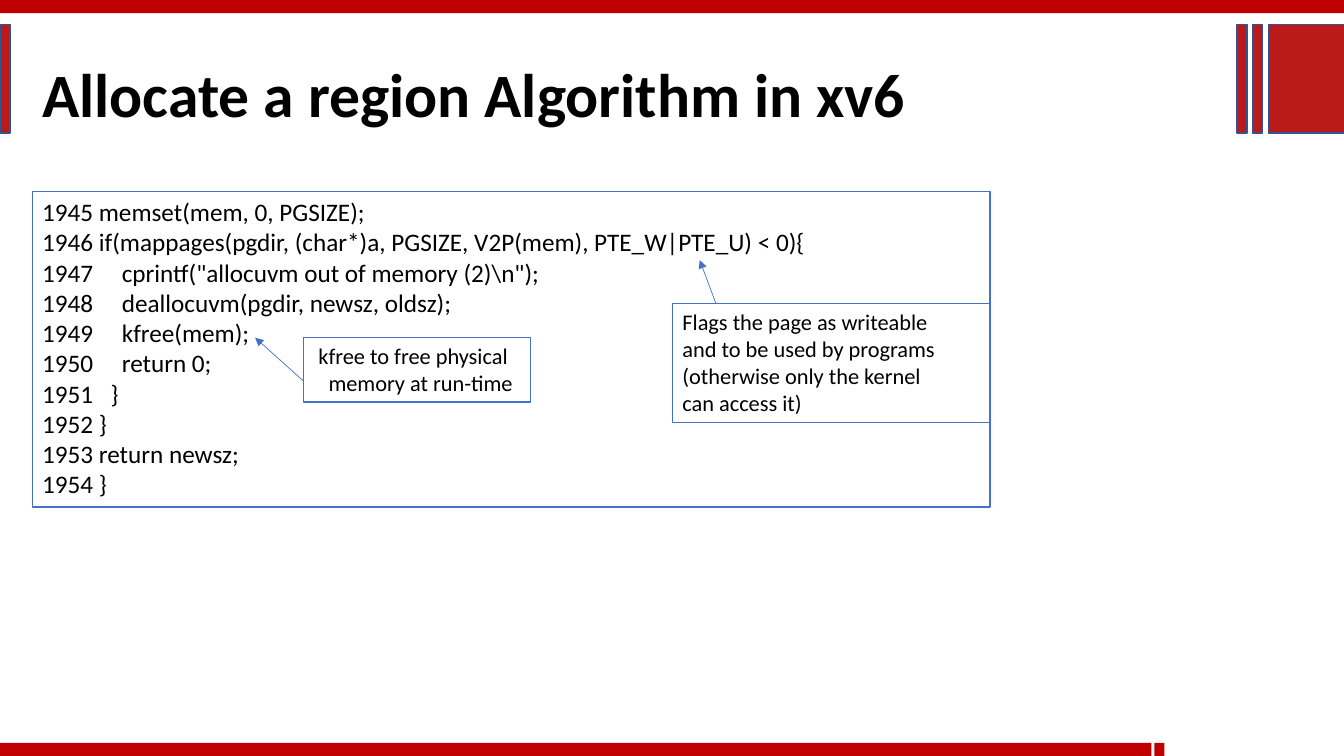
"""Build the slide that explains how xv6 allocates a region of memory."""
from lxml.etree import SubElement
from pptx import Presentation
from pptx.dml.color import RGBColor
from pptx.enum.shapes import MSO_CONNECTOR, MSO_SHAPE
from pptx.enum.text import MSO_ANCHOR, PP_ALIGN
from pptx.oxml.ns import qn
from pptx.util import Inches, Pt

BAND, BAR, BAR_LINE = "C00000", "BA1A1A", "325491"
WHITE, BLACK, BLUE = "FFFFFF", "000000", "4472C4"


def rgb(value):
    return RGBColor.from_string(value)


class Deck:
    font = "Calibri"

    def __init__(self, width, height):
        self.prs = Presentation()
        self.prs.slide_width = Inches(width)
        self.prs.slide_height = Inches(height)
        self.slide = self.prs.slides.add_slide(self.prs.slide_layouts[5])

    def run(self, p, text, size, bold=False):
        r = p.add_run()
        r.text = text
        r.font.name = self.font
        r.font.size = Pt(size)
        r.font.bold = bold
        r.font.color.rgb = rgb(BLACK)

    def title(self, text, x, y, w, h):
        sp = self.slide.shapes.title
        sp.left, sp.top, sp.width, sp.height = map(Inches, (x, y, w, h))
        tf = sp.text_frame
        tf.word_wrap = True
        tf.vertical_anchor = MSO_ANCHOR.TOP
        p = tf.paragraphs[0]
        p.alignment = PP_ALIGN.LEFT
        p.line_spacing = 1.0
        p.space_before = p.space_after = Pt(0)
        self.run(p, text, 44, True)

    def rect(self, x, y, w, h, fill, line=None):
        sp = self.slide.shapes.add_shape(
            MSO_SHAPE.RECTANGLE, *map(Inches, (x, y, w, h)))
        sp.shadow.inherit = False
        sp.fill.solid()
        sp.fill.fore_color.rgb = rgb(fill)
        if line:
            sp.line.color.rgb = rgb(line)
            sp.line.width = Pt(1)
        else:
            sp.line.fill.background()
        return sp

    def box(self, x, y, w, h, lines, size):
        """Draw a framed box; each line is (text, left indent, tab stop)."""
        tf = self.rect(x, y, w, h, WHITE, BLUE).text_frame
        tf.word_wrap = True
        tf.vertical_anchor = MSO_ANCHOR.TOP
        for i, (text, indent, tab) in enumerate(lines):
            p = tf.add_paragraph() if i else tf.paragraphs[0]
            p.alignment = PP_ALIGN.LEFT
            pPr = p._p.get_or_add_pPr()
            if indent:
                pPr.set("marL", str(Inches(indent)))
            if tab:
                tabs = SubElement(pPr, qn("a:tabLst"))
                SubElement(tabs, qn("a:tab"), pos=str(Inches(tab)), algn="l")
            self.run(p, text, size)

    def arrow(self, x1, y1, x2, y2):
        cx = self.slide.shapes.add_connector(
            MSO_CONNECTOR.STRAIGHT, *map(Inches, (x1, y1, x2, y2)))
        cx.line.color.rgb = rgb(BLUE)
        cx.line.width = Pt(0.5)
        SubElement(cx.line._get_or_add_ln(), qn("a:tailEnd"), type="triangle")
        SubElement(cx._element.spPr, qn("a:effectLst"))


BODY_TAB, BRACE_TAB = 0.79, 0.68
CODE = [
    ("memset(mem, 0, PGSIZE);", 0),
    ("if(mappages(pgdir, (char*)a, PGSIZE, V2P(mem), PTE_W|PTE_U) < 0){", 0),
    ('cprintf("allocuvm out of memory (2)\\n");', BODY_TAB),
    ("deallocuvm(pgdir, newsz, oldsz);", BODY_TAB),
    ("kfree(mem);", BODY_TAB),
    ("return 0;", BODY_TAB),
    ("}", BRACE_TAB),
    ("}", 0),
    ("return newsz;", 0),
    ("}", 0),
]
FLAGS_NOTE = ["Flags the page as writeable", "and to be used by programs",
              "(otherwise only the kernel", "can access it)"]
KFREE_NOTE = [("kfree to free physical", 0.05, 0),
              ("memory at run-time", 0.15, 0)]

deck = Deck(13.33, 7.5)
for x, y, w in [(0, 0, 13.33), (0, 7.37, 11.42), (11.45, 7.37, 0.1)]:
    deck.rect(x, y, w, 0.13, BAND)
for x, w in [(0, 0.1), (12.58, 0.76), (12.42, 0.1), (12.27, 0.1)]:
    deck.rect(x, 0.24, w, 1.08, BAR, BAR_LINE)

deck.title("Allocate a region Algorithm in xv6", 0.32, 0.5, 10.66, 0.84)
numbered = [(f"{number}{chr(9) if tab else ' '}{code}", 0, tab)
            for number, (code, tab) in enumerate(CODE, 1945)]
deck.box(0.32, 1.9, 9.5, 3.13, numbered, 18)
deck.box(6.67, 3.01, 3.15, 1.18, [(text, 0, 0) for text in FLAGS_NOTE], 16)
deck.arrow(7.1, 3.01, 6.94, 2.58)
deck.box(3.01, 3.35, 2.25, 0.64, KFREE_NOTE, 16)
deck.arrow(3.01, 3.78, 2.53, 3.35)
deck.prs.save("out.pptx")
